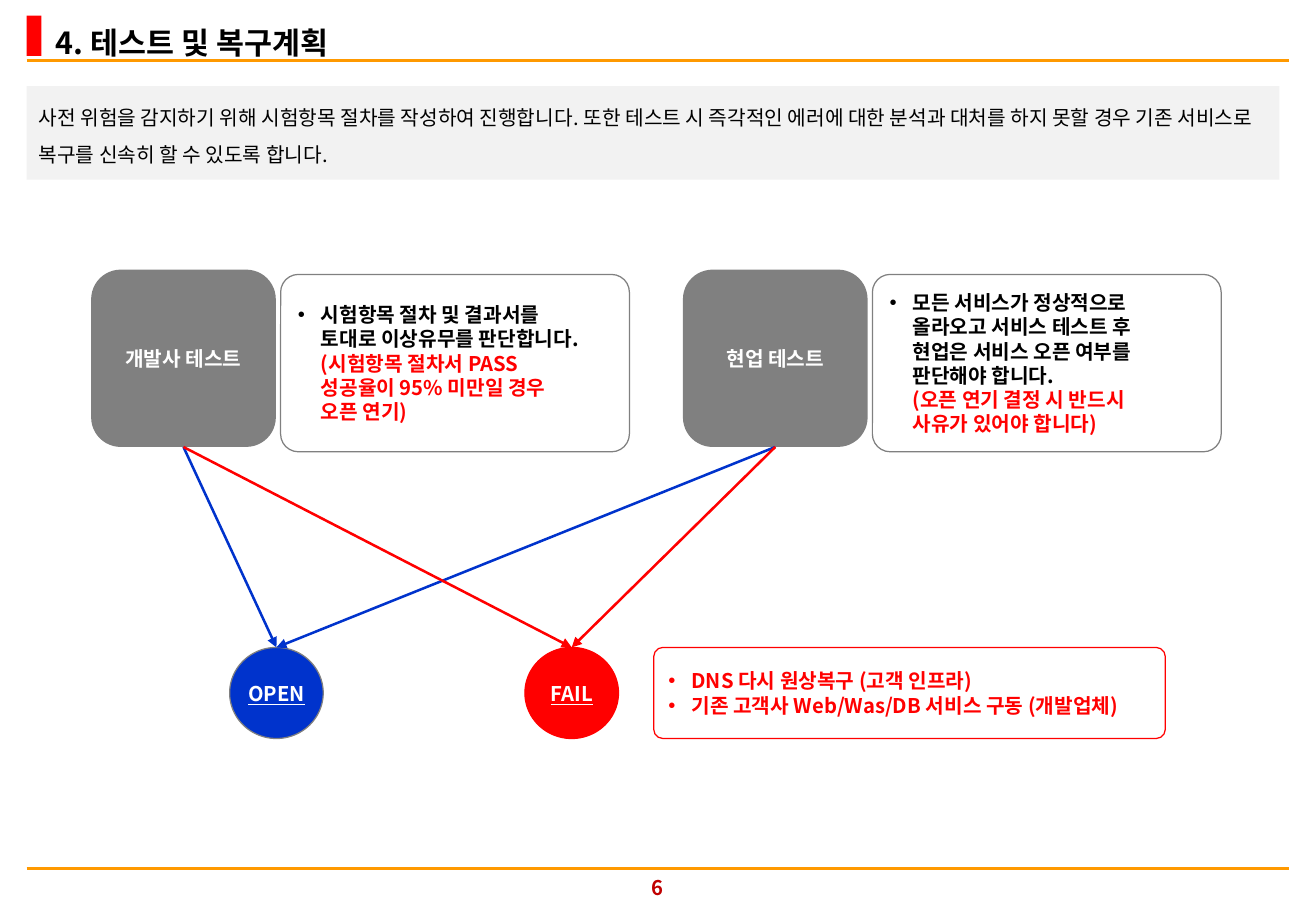
from pptx import Presentation
from pptx.dml.color import RGBColor
from pptx.enum.shapes import MSO_CONNECTOR, MSO_SHAPE
from pptx.enum.text import MSO_ANCHOR, PP_ALIGN
from pptx.oxml.ns import qn
from pptx.util import Inches, Pt
from lxml.etree import SubElement

FONT = "Noto Sans CJK KR"
COLORS = {
    "black": "000000", "white": "FFFFFF", "gray": "808080", "pale": "F2F2F2",
    "red": "FF0000", "blue": "0033CC", "orange": "FF9900", "dark red": "C00000",
}

TITLE = "4. 테스트 및 복구계획"
SUMMARY = (
    "사전 위험을 감지하기 위해 시험항목 절차를 작성하여 진행합니다. 또한 테스트 시 즉각적인 에러에 "
    "대한 분석과 대처를 하지 못할 경우 기존 서비스로 복구를 신속히 할 수 있도록 합니다."
)
PAGE_NUMBER = "6"
# left, name, lines of the criterion as (text, color)
TESTS = [
    (0.75, "개발사 테스트", [
        ("시험항목 절차 및 결과서를", "black"),
        ("토대로 이상유무를 판단합니다.", "black"),
        ("(시험항목 절차서 PASS", "red"),
        ("성공율이 95% 미만일 경우", "red"),
        ("오픈 연기)", "red"),
    ]),
    (5.62, "현업 테스트", [
        ("모든 서비스가 정상적으로", "black"),
        ("올라오고 서비스 테스트 후", "black"),
        ("현업은 서비스 오픈 여부를", "black"),
        ("판단해야 합니다.", "black"),
        ("(오픈 연기 결정 시 반드시", "red"),
        ("사유가 있어야 합니다)", "red"),
    ]),
]
# left, name, fill, outline
RESULTS = [(1.89, "OPEN", "blue", "gray"), (4.32, "FAIL", "red", "red")]
RECOVERY = [
    [("DNS 다시 원상복구 (고객 인프라)", "red")],
    [("기존 고객사 Web/Was/DB 서비스 구동 (개발업체)", "red")],
]

RULE_LEFT, RULE_RIGHT = 0.22, 10.61
TEST_TOP, TEST_WIDTH, TEST_HEIGHT = 2.22, 1.52, 1.46
RESULT_TOP, RESULT_WIDTH, RESULT_HEIGHT = 5.33, 0.77, 0.75


def rgb(color):
    return RGBColor.from_string(COLORS[color])


def add_run(paragraph, text, color, size=12, bold=True, underline=None):
    run = paragraph.add_run()
    run.text = text
    font = run.font
    font.size, font.bold, font.underline = Pt(size), bold, underline
    font.color.rgb = rgb(color)
    font.name = FONT
    SubElement(font._element, qn("a:ea"), typeface=FONT)


def add_box(slide, preset, box, fill, line=None):
    shape = slide.shapes.add_shape(preset, *map(Inches, box))
    shape.shadow.inherit = False
    shape.fill.solid()
    shape.fill.fore_color.rgb = rgb(fill)
    if line:
        shape.line.color.rgb = rgb(line)
        shape.line.width = Pt(0.75)
    else:
        shape.line.fill.background()
    return shape


def add_label(shape, text, underline=None):
    frame = shape.text_frame
    frame.word_wrap = False
    frame.vertical_anchor = MSO_ANCHOR.MIDDLE
    frame.paragraphs[0].alignment = PP_ALIGN.CENTER
    add_run(frame.paragraphs[0], text, "white", underline=underline)


def add_note(slide, box, line, items):
    """Outlined half-transparent box; each item is one bullet made of colored lines."""
    shape = add_box(slide, MSO_SHAPE.ROUNDED_RECTANGLE, box, "white", line)
    shape.adjustments[0] = 0.1
    fill_color = shape._element.spPr.find(qn("a:solidFill"))[0]
    SubElement(fill_color, qn("a:alpha"), val="50000")
    frame = shape.text_frame
    frame.word_wrap = False
    frame.vertical_anchor = MSO_ANCHOR.MIDDLE
    for index, lines in enumerate(items):
        paragraph = frame.add_paragraph() if index else frame.paragraphs[0]
        paragraph.alignment = PP_ALIGN.LEFT
        properties = paragraph._p.get_or_add_pPr()
        properties.set("marL", str(Inches(0.19)))
        properties.set("indent", str(Inches(-0.19)))
        SubElement(properties, qn("a:buFont"), typeface="Arial")
        SubElement(properties, qn("a:buChar"), char="•")
        for number, (text, color) in enumerate(lines):
            if number:
                paragraph.add_line_break()
            add_run(paragraph, text, color)


def add_line(slide, color, start=(0, 0), end=(0, 0)):
    connector = slide.shapes.add_connector(
        MSO_CONNECTOR.STRAIGHT, *map(Inches, (*start, *end)))
    connector.line.color.rgb = rgb(color)
    connector.line.width = Pt(1.5)
    SubElement(connector._element.spPr, qn("a:effectLst"))
    return connector


def add_arrow(slide, color, test, result):
    connector = add_line(slide, color)
    connector.begin_connect(test, 2)
    connector.end_connect(result, 0)
    SubElement(connector.line._get_or_add_ln(), qn("a:tailEnd"), type="triangle")


def add_frame(slide):
    """Title, page number and the rules around the content."""
    for y in (0.5, 7.15):
        add_line(slide, "orange", (RULE_LEFT, y), (RULE_RIGHT, y))
    add_box(slide, MSO_SHAPE.RECTANGLE, (RULE_LEFT, 0.13, 0.12, 0.33), "red")

    title = slide.shapes.title
    title.left, title.top, title.width, title.height = map(Inches, (0.34, 0.08, 5.63, 0.48))
    frame = title.text_frame
    frame.vertical_anchor = MSO_ANCHOR.TOP
    frame.margin_left = frame.margin_right = Inches(0.12)
    frame.margin_top = frame.margin_bottom = Inches(0.06)
    paragraph = frame.paragraphs[0]
    paragraph.alignment = PP_ALIGN.LEFT
    paragraph.line_spacing = 1.2
    add_run(paragraph, TITLE, "black", size=18)

    number = slide.shapes.add_textbox(*map(Inches, (5, 7.16, 0.83, 0.3)))
    number.text_frame.word_wrap = True
    paragraph = number.text_frame.paragraphs[0]
    paragraph.alignment = PP_ALIGN.CENTER
    add_run(paragraph, PAGE_NUMBER, "dark red")


def add_summary(slide):
    shape = add_box(slide, MSO_SHAPE.RECTANGLE, (RULE_LEFT, 0.71, 10.31, 0.77), "pale")
    frame = shape.text_frame
    frame.word_wrap = True
    frame.vertical_anchor = MSO_ANCHOR.TOP
    paragraph = frame.paragraphs[0]
    paragraph.alignment = PP_ALIGN.LEFT
    paragraph.line_spacing = Pt(22)
    add_run(paragraph, SUMMARY, "black", bold=False)


def main():
    presentation = Presentation()
    presentation.slide_width, presentation.slide_height = Inches(10.83), Inches(7.5)
    slide = presentation.slides.add_slide(presentation.slide_layouts[5])
    add_frame(slide)
    add_summary(slide)

    tests = []
    for left, name, lines in TESTS:
        test = add_box(slide, MSO_SHAPE.ROUNDED_RECTANGLE,
                       (left, TEST_TOP, TEST_WIDTH, TEST_HEIGHT), "gray")
        add_label(test, name)
        tests.append(test)
        note_left = left + TEST_WIDTH + 0.04
        add_note(slide, (note_left, TEST_TOP + 0.04, 2.87, TEST_HEIGHT), "gray", [lines])

    results = []
    for left, name, fill, line in RESULTS:
        result = add_box(slide, MSO_SHAPE.OVAL,
                         (left, RESULT_TOP, RESULT_WIDTH, RESULT_HEIGHT), fill, line)
        add_label(result, name, underline=True)
        results.append((result, fill))
    add_note(slide, (5.38, RESULT_TOP, 4.21, RESULT_HEIGHT), "red", RECOVERY)

    for result, color in results:
        for test in tests:
            add_arrow(slide, color, test, result)
    presentation.save("out.pptx")


if __name__ == "__main__":
    main()
